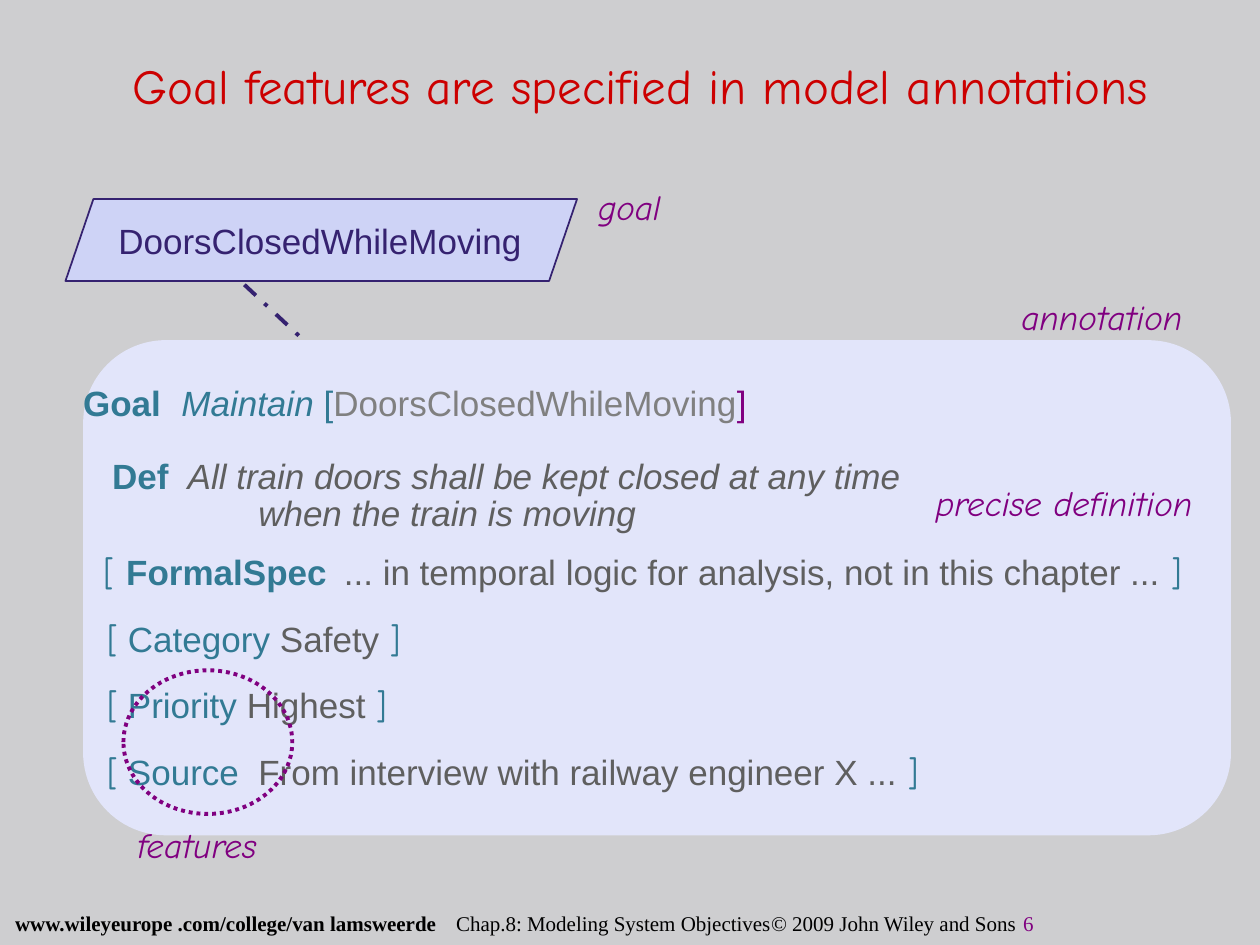
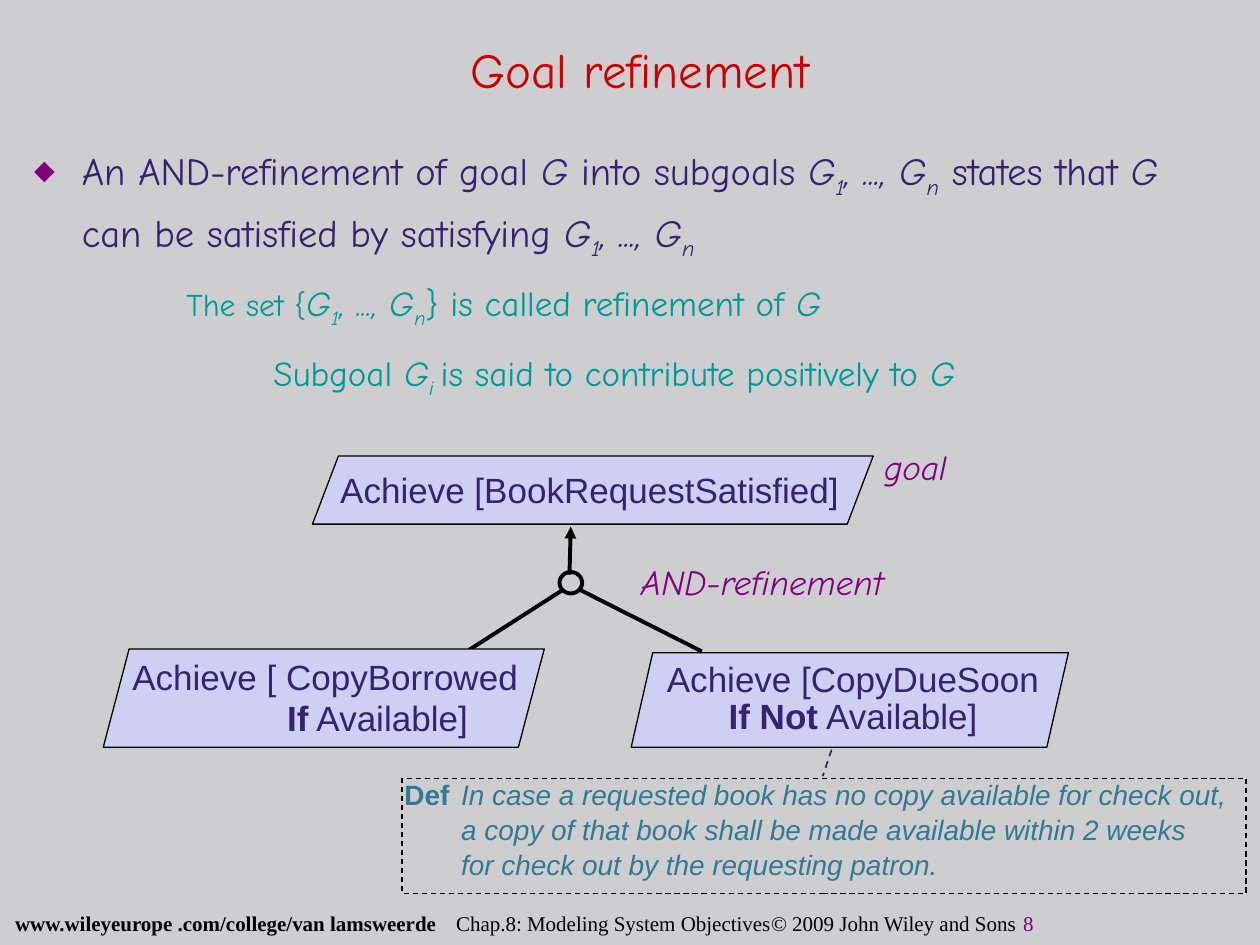
from dataclasses import dataclass

from lxml import etree
from pptx import Presentation
from pptx import util as u
from pptx.dml.color import RGBColor
from pptx.enum import dml, shapes, text
from pptx.oxml import ns


@dataclass(frozen=True)
class Theme:
    # Colours
    background: str = "CECED0"
    title: str = "CC0000"
    ink: str = "352270"
    accent: str = "800080"
    keyword: str = "327A94"
    detail: str = "5F5F5F"
    muted: str = "808080"
    remark: str = "009999"
    panel: str = "E2E5FA"
    goal: str = "CED3F6"
    subgoal: str = "CECFF2"
    black: str = "000000"
    # Fonts and sizes
    hand: str = "Comic Neue"
    sans: str = "Arial"
    serif: str = "Times New Roman"
    title_size: int = 28
    lead_size: int = 22
    body_size: int = 20
    small_size: int = 18
    note_size: int = 16
    footer_size: int = 12


THEME = Theme()
SHAPE = shapes.MSO_SHAPE
DASH = dml.MSO_LINE
CENTER = text.PP_ALIGN.CENTER


def inches(*values):
    return [u.Inches(value) for value in values]


def child(parent, tag, **attributes):
    return etree.SubElement(parent, ns.qn(tag), attributes)


class Style:
    """Holds the theme, the deck and the current page."""

    def __init__(self, theme):
        self.theme = theme
        self.deck = Presentation()
        self.deck.slide_width, self.deck.slide_height = inches(10, 7.5)
        self.page = None

    def new_page(self, number, title, title_at):
        theme = self.theme
        self.page = self.deck.slides.add_slide(self.deck.slide_layouts[6])
        fill = self.page.background.fill
        fill.solid()
        fill.fore_color.rgb = RGBColor.from_string(theme.background)
        # Footer
        box = self.box((0.12, 7.23, 9.87, 0.24))
        self.para(box, [
            ("www.wileyeurope .com/college/van lamsweerde", {"bold": True}),
            ("\tChap.8: Modeling System Objectives\t© 2009 John Wiley and Sons\t", {}),
            (str(number), {"color": theme.accent}),
        ], font=theme.serif, size=theme.footer_size, color=theme.black, tabs=(3.72, 7.26, 9.5))
        # Title
        box = self.box(title_at, anchor=text.MSO_ANCHOR.MIDDLE)
        self.para(box, [(title, {})], font=theme.hand, size=theme.title_size,
                  color=theme.title, align=CENTER)

    def box(self, at, anchor=text.MSO_ANCHOR.TOP, wrap=True):
        box = self.page.shapes.add_textbox(*inches(*at))
        self.frame(box, anchor, wrap)
        return box

    def frame(self, box, anchor=text.MSO_ANCHOR.TOP, wrap=True, inset=0):
        frame = box.text_frame
        frame.word_wrap = wrap
        frame.vertical_anchor = anchor
        frame.margin_left = frame.margin_right = frame.margin_top = u.Inches(inset)
        frame.margin_bottom = 0

    def para(self, box, spans, font, size, color, align=text.PP_ALIGN.LEFT, line=None,
             before=0, left=0, hang=0, tabs=(), bullet=None):
        """Adds a paragraph; left is where text starts, hang the outdent of its first line."""
        frame = box.text_frame
        para = frame.paragraphs[0]
        if para.runs:
            para = frame.add_paragraph()
        para.alignment = align
        if line:
            para.line_spacing = u.Pt(line)
        para.space_before = u.Pt(before)
        props = para._p.get_or_add_pPr()
        props.set("marL", str(u.Inches(left)))
        props.set("indent", str(-u.Inches(hang)))
        if bullet:
            child(child(props, "a:buClr"), "a:srgbClr", val=self.theme.accent)
            child(props, "a:buSzPct", val="70000")
            child(props, "a:buChar", char=bullet)
        else:
            child(props, "a:buNone")
        if tabs:
            stops = child(props, "a:tabLst")
            for stop in tabs:
                child(stops, "a:tab", pos=str(u.Inches(stop)), algn="l")
        for words, changes in spans:
            look = {"font": font, "size": size, "color": color, **changes}
            span = para.add_run()
            span.text = words
            span.font.name = look["font"]
            span.font.size = u.Pt(look["size"])
            span.font.color.rgb = RGBColor.from_string(look["color"])
            span.font.bold = look.get("bold", False)
            span.font.italic = look.get("italic", False)
            if look.get("sub"):
                span._r.get_or_add_rPr().set("baseline", "-25000")

    def label(self, words, at):
        box = self.box(at, text.MSO_ANCHOR.MIDDLE, wrap=False)
        self.para(box, [(words, {"italic": True})], self.theme.hand, self.theme.body_size,
                  self.theme.accent, align=CENTER)

    def outline(self, line, color, width, dash=None):
        line.color.rgb = RGBColor.from_string(color)
        line.width = u.Pt(width)
        if dash:
            line.dash_style = dash

    def shape(self, kind, at, fill=None, line=None, adjust=None):
        shape = self.page.shapes.add_shape(kind, *inches(*at))
        shape.shadow.inherit = False
        if adjust is not None:
            shape.adjustments[0] = adjust
        if fill:
            shape.fill.solid()
            shape.fill.fore_color.rgb = RGBColor.from_string(fill)
        else:
            shape.fill.background()
        if line:
            self.outline(shape.line, *line)
        else:
            shape.line.fill.background()
        return shape

    def link(self, start, end, color, width, dash=None, arrow=False):
        link = self.page.shapes.add_connector(shapes.MSO_CONNECTOR.STRAIGHT,
                                              *inches(*start, *end))
        self.outline(link.line, color, width, dash)
        if arrow:
            child(link.line._get_or_add_ln(), "a:tailEnd", type="triangle")
        child(link._element.spPr, "a:effectLst")


def annotation_page(style):
    theme = style.theme
    style.new_page(6, "Goal features are specified in model annotations",
                   (0.44, 0.26, 9.28, 0.83))

    # Annotation panel
    style.shape(SHAPE.ROUNDED_RECTANGLE, (0.66, 2.7, 9.11, 3.93), theme.panel, adjust=0.167)
    bold, italic = {"bold": True}, {"italic": True}
    detail = {"color": theme.detail}
    bracket = {"font": theme.hand}
    # Each row: spans, space before, left, hang
    rows = [
        ([("Goal\t", bold), ("Maintain", italic), (" [", {}),
          ("DoorsClosedWhileMoving", {"color": theme.muted}),
          ("]", {"color": theme.accent})], 0, 0.78, 0.78),
        ([("Def\t", bold), ("All train doors shall be kept closed at any time",
                            detail | italic)], 22, 0.83, 0.6),
        ([("when the train is moving", detail | italic)], 1, 1.39, 0),
        ([("[ ", bracket), ("FormalSpec\t", bold),
          ("... in temporal logic for analysis, not in this chapter ... ", detail),
          ("]", bracket)], 14, 2.07, 1.91),
    ]
    features = [("Category ", "Safety "), ("Priority ", "Highest "),
                ("Source\t", "From interview with railway engineer X ... ")]
    for name, value in features:
        rows.append(([("[", bracket), (" " + name, {}), (value, detail), ("]", bracket)],
                     18, 1.39, 1.2))
    box = style.box((0.66, 3.08, 9.1, 3.3))
    for spans, before, left, hang in rows:
        style.para(box, spans, theme.sans, theme.body_size, theme.keyword,
                   line=20, before=before, left=left, hang=hang)

    # Goal and its link to the annotation
    style.shape(SHAPE.PARALLELOGRAM, (0.52, 1.58, 4.06, 0.65), theme.goal,
                (theme.ink, 1), 0.341)
    box = style.box((0.84, 1.69, 3.4, 0.43), text.MSO_ANCHOR.MIDDLE, wrap=False)
    style.para(box, [("DoorsClosedWhileMoving", {})], theme.sans, theme.body_size,
               theme.ink, align=CENTER)
    style.link((1.94, 2.26), (2.41, 2.7), theme.ink, 2.25, DASH.DASH_DOT)

    # Labels
    style.shape(SHAPE.OVAL, (0.98, 5.32, 1.34, 1.14),
                line=(theme.accent, 2.25, DASH.ROUND_DOT))
    style.label("precise definition", (7.2, 3.77, 2.49, 0.43))
    style.label("goal", (4.55, 1.42, 0.89, 0.43))
    style.label("features", (0.9, 6.49, 1.33, 0.43))
    style.label("annotation", (7.97, 2.3, 1.55, 0.43))


def refinement_page(style):
    theme = style.theme
    style.new_page(8, "Goal refinement", (0.35, 0.13, 9.46, 0.83))

    # Explanation
    italic, sub = {"italic": True}, {"italic": True, "sub": True}
    goal = ("G", italic)
    subgoals = [goal, ("1", sub), (", ..., G", italic), ("n", sub)]
    box = style.box((0.27, 1.1, 9.48, 2.1))
    style.para(box, [("An AND-refinement of goal ", {}), goal, (" into subgoals ", {}),
                     *subgoals, (" states that ", {}), goal,
                     (" can be satisfied by satisfying ", {}), *subgoals],
               theme.hand, theme.lead_size, theme.ink, line=35, left=0.38, hang=0.38,
               bullet="◆")
    style.para(box, [("The set {", {"size": theme.small_size}), *subgoals,
                     ("} is called refinement of ", {}), goal],
               theme.hand, theme.body_size, theme.remark, line=28, before=11, left=1.21)
    style.para(box, [("Subgoal ", {}), goal, ("i ", sub),
                     ("is said to contribute positively to ", {}), goal],
               theme.hand, theme.body_size, theme.remark, line=28, before=12, left=1.9)

    # Refinement links
    for start, end in [((4.47, 4.68), (3.72, 5.16)), ((4.6, 4.68), (5.57, 5.17))]:
        style.link(start, end, theme.black, 2.25)
    style.link((4.52, 4.56), (4.53, 4.18), theme.black, 2.25, arrow=True)
    style.shape(SHAPE.OVAL, (4.44, 4.54, 0.18, 0.17), line=(theme.black, 2.25))

    # Goal and subgoals: outline, slant, text area, line height, rows of (spans, layout)
    bold = {"bold": True}
    nodes = [
        ((2.48, 3.62, 4.45, 0.54), 0.381, (2.7, 3.73, 4.1, 0.35), 23,
         [([("Achieve [BookRequestSatisfied]", {})], {})]),
        ((0.82, 5.15, 3.5, 0.78), 0.263, (1.05, 5.22, 3.16, 0.65), 23,
         [([("Achieve [ CopyBorrowed", {})], {}),
          ([("If", bold), (" Available]", {})], {"left": 1.23})]),
        ((5.01, 5.18, 3.47, 0.75), 0.228, (5.18, 5.26, 3.18, 0.6), 21,
         [([("Achieve [CopyDueSoon", {})], {"align": CENTER}),
          ([("If Not", bold), (" Available]", {})], {"align": CENTER})]),
    ]
    for at, slant, text_at, line, rows in nodes:
        style.shape(SHAPE.PARALLELOGRAM, at, theme.subgoal, (theme.black, 0.75), slant)
        box = style.box(text_at)
        for spans, layout in rows:
            style.para(box, spans, theme.sans, theme.body_size, theme.ink, line=line, **layout)

    # Definition of the second subgoal
    definition = style.shape(SHAPE.RECTANGLE, (3.19, 6.18, 6.7, 0.91),
                             line=(theme.black, 0.75, DASH.DASH))
    style.frame(definition, inset=0.02)
    rows = [
        [("Def\t", bold),
         ("In case a requested book has no copy available for check out,", italic)],
        [("a copy of that book shall be made available within 2 weeks", italic)],
        [("for check out by the requesting patron.", italic)],
    ]
    for index, spans in enumerate(rows):
        first = index == 0
        style.para(definition, spans, theme.sans, theme.note_size, theme.keyword, line=17,
                   before=0 if first else 3, left=0.45, hang=0.45 if first else 0)
    style.link((6.6, 5.95), (6.53, 6.16), theme.ink, 1, DASH.DASH)

    # Labels
    style.label("goal", (6.82, 3.49, 0.89, 0.43))
    style.label("AND-refinement", (4.51, 4.4, 3.08, 0.43))


def main():
    style = Style(THEME)
    annotation_page(style)
    refinement_page(style)
    style.deck.save("out.pptx")


if __name__ == "__main__":
    main()
